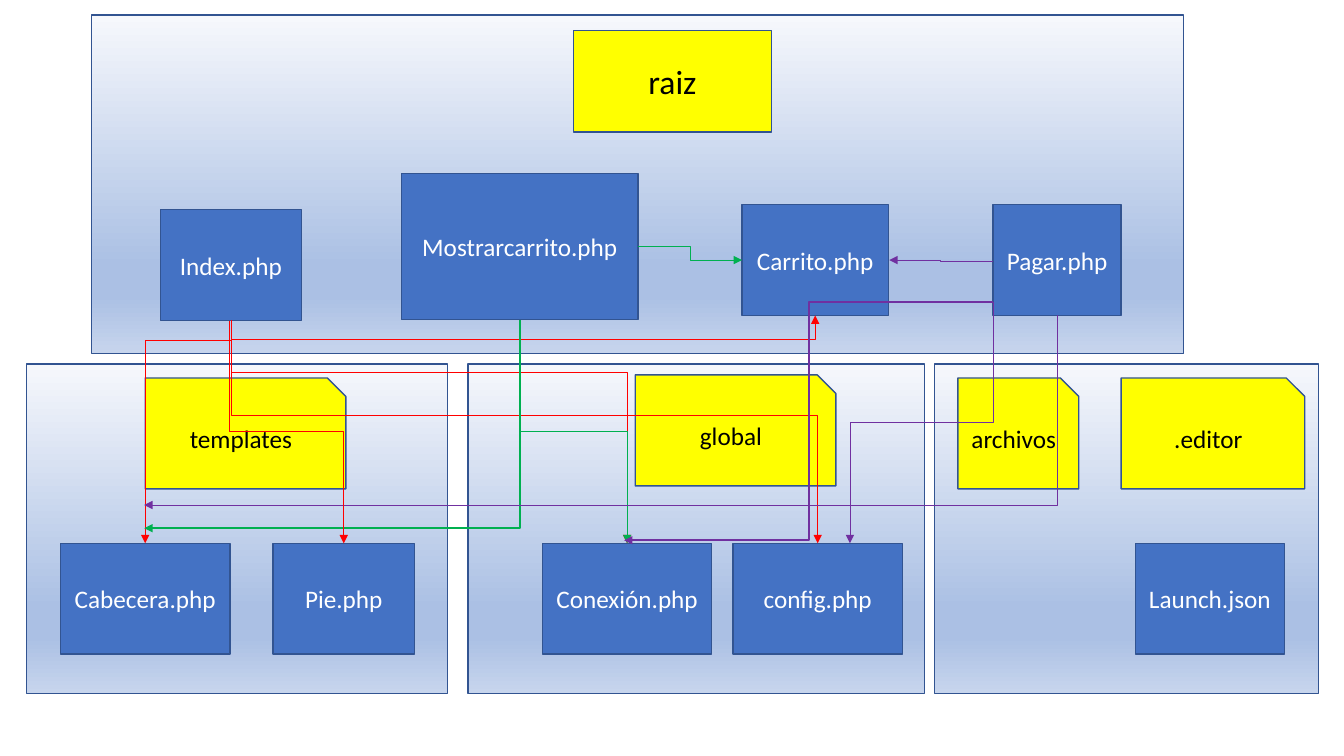
from lxml import etree
from pptx import Presentation
from pptx.dml.color import RGBColor
from pptx.enum.shapes import MSO_CONNECTOR, MSO_SHAPE
from pptx.enum.text import MSO_ANCHOR, PP_ALIGN
from pptx.oxml.ns import qn
from pptx.util import Inches, Pt

COLORS = {
    "border": "325491", "folder": "FFFF00", "file": "4472C4",
    "dark": "000000", "light": "FFFFFF",
    "index": "FF0000", "mostrar": "00B050", "pagar": "7030A0",
}
PANEL_STOPS = [(0, "F6F8FC"), (74, "ABC0E4"), (83, "ABC0E4"), (100, "C7D5ED")]
TOP, LEFT, BOTTOM, RIGHT = range(4)
ORIENTATION = {
    ("V", True, True): (270, "h"),
    ("V", False, True): (90, ""),
    ("V", True, False): (90, "hv"),
    ("H", True, True): (0, ""),
    ("H", False, False): (180, ""),
    ("H", False, True): (180, "v"),
}


def rgb(name):
    return RGBColor.from_string(COLORS[name])


def add_box(s, kind, x, y, w, h):
    sp = s.shapes.add_shape(kind, Inches(x), Inches(y), Inches(w), Inches(h))
    sp.shadow.inherit = False
    sp.line.color.rgb = rgb("border")
    sp.line.width = Pt(1)
    return sp


def add_panel(s, box):
    sp = add_box(s, MSO_SHAPE.RECTANGLE, *box)
    sp.fill.gradient()
    sp.fill.gradient_angle = 270
    stops = sp._element.spPr.find(qn("a:gradFill")).find(qn("a:gsLst"))
    for stop in list(stops):
        stops.remove(stop)
    for pos, color in PANEL_STOPS:
        stop = etree.SubElement(stops, qn("a:gs"), pos=str(pos * 1000))
        etree.SubElement(stop, qn("a:srgbClr"), val=color)


def add_label(s, kind, box, text, fill, color, size=18):
    sp = add_box(s, kind, *box)
    sp.fill.solid()
    sp.fill.fore_color.rgb = rgb(fill)
    tf = sp.text_frame
    tf.word_wrap = True
    tf.vertical_anchor = MSO_ANCHOR.MIDDLE
    p = tf.paragraphs[0]
    p.text = text
    p.alignment = PP_ALIGN.CENTER
    p.font.name = "Calibri"
    p.font.size = Pt(size)
    p.font.color.rgb = rgb(color)
    return sp


def add_region(s, box, folders, files, folder_kind=MSO_SHAPE.SNIP_1_RECTANGLE, size=18):
    left, top = box[:2]
    add_panel(s, box)
    for text, x, y, w, h in folders:
        add_label(s, folder_kind, (left + x, top + y, w, h), text, "folder", "dark", size)
    return {
        text: add_label(s, MSO_SHAPE.RECTANGLE, (left + x, top + y, w, h),
                        text, "file", "light")
        for text, x, y, w, h in files
    }


def locate(end, shapes):
    if not isinstance(end[0], str):
        return end
    sp, site = shapes[end[0]], end[1]
    x, y, w, h = (v.inches for v in (sp.left, sp.top, sp.width, sp.height))
    return [(x + w / 2, y), (x, y + h / 2), (x + w / 2, y + h), (x + w, y + h / 2)][site]


def add_link(s, shapes, color, start, end, axis, bend=None, width=0.5):
    (x1, y1), (x2, y2) = locate(start, shapes), locate(end, shapes)
    w, h = abs(x2 - x1), abs(y2 - y1)
    if axis == "V":
        w, h = h, w
    c = s.shapes.add_connector(MSO_CONNECTOR.ELBOW, 0, 0, 0, 0)
    if isinstance(start[0], str):
        c.begin_connect(shapes[start[0]], start[1])
    if isinstance(end[0], str):
        c.end_connect(shapes[end[0]], end[1])
    c.left, c.top = Inches((x1 + x2 - w) / 2), Inches((y1 + y2 - h) / 2)
    c.width, c.height = Inches(w), Inches(h)

    pr = c._element.spPr
    rot, flips = ORIENTATION[axis, x2 > x1, y2 > y1]
    xfrm = pr.find(qn("a:xfrm"))
    xfrm.set("rot", str(rot * 60000))
    xfrm.set("flipH", str(int("h" in flips)))
    xfrm.set("flipV", str(int("v" in flips)))
    geom = pr.find(qn("a:prstGeom"))
    if bend is None:
        geom.set("prst", "bentConnector2")
    else:
        a, b = (y1, y2) if axis == "V" else (x1, x2)
        ratio = round((bend - a) / (b - a) * 100000)
        etree.SubElement(geom.find(qn("a:avLst")), qn("a:gd"),
                         name="adj1", fmla=f"val {ratio}")

    c.line.color.rgb = rgb(color)
    c.line.width = Pt(width)
    etree.SubElement(pr.find(qn("a:ln")), qn("a:tailEnd"), type="triangle")
    etree.SubElement(pr, qn("a:effectLst"))


def add_links(s, shapes):
    index = ("Index.php", BOTTOM)
    mostrar = ("Mostrarcarrito.php", BOTTOM)
    cabecera = ("Cabecera.php", TOP)
    conexion = ("Conexión.php", TOP)
    pagar_corner = (9.85, 3)
    links = [
        ("index", index, cabecera, "V", 3.38),
        ("index", index, ("Carrito.php", BOTTOM), "V", 3.37),
        ("index", index, conexion, "V", 3.69),
        ("index", index, ("config.php", TOP), "V", 4.12),
        ("mostrar", mostrar, conexion, "V", 4.28),
        ("mostrar", ("Mostrarcarrito.php", RIGHT), ("Carrito.php", LEFT), "H", 6.85),
        ("mostrar", mostrar, (1.43, 5.24), "V", None, 1.5),
        ("pagar", (9.85, 2.59), (8.82, 2.58), "H", 9.33),
        ("pagar", pagar_corner, (6.19, 5.36), "H", 8.02, 1.5),
        ("pagar", pagar_corner, (8.43, 5.39), "V", 4.19),
        ("pagar", ("Pagar.php", BOTTOM), (1.43, 5.01), "V"),
        ("index", (2.28, 3.18), ("Pie.php", TOP), "V", 4.28),
    ]
    for link in links:
        add_link(s, shapes, *link)


prs = Presentation()
prs.slide_width, prs.slide_height = Inches(13.33), Inches(7.5)
s = prs.slides.add_slide(prs.slide_layouts[6])

shapes = add_region(
    s, (0.91, 0.15, 10.83, 3.36),
    [("raiz", 4.78, 0.15, 1.96, 1.01)],
    [("Index.php", 0.68, 1.93, 1.4, 1.1),
     ("Mostrarcarrito.php", 3.07, 1.57, 2.35, 1.45),
     ("Carrito.php", 6.45, 1.88, 1.45, 1.1),
     ("Pagar.php", 8.94, 1.88, 1.27, 1.1)],
    MSO_SHAPE.RECTANGLE, 24)
shapes |= add_region(
    s, (9.27, 3.61, 3.81, 3.27),
    [("archivos", 0.23, 0.14, 1.2, 1.1), (".editor", 1.85, 0.14, 1.82, 1.1)],
    [("Launch.json", 1.99, 1.78, 1.48, 1.1)])
shapes |= add_region(
    s, (4.64, 3.61, 4.53, 3.27),
    [("global", 1.66, 0.11, 1.99, 1.1)],
    [("Conexión.php", 0.74, 1.78, 1.68, 1.1), ("config.php", 2.63, 1.78, 1.68, 1.1)])
shapes |= add_region(
    s, (0.26, 3.61, 4.18, 3.27),
    [("templates", 1.18, 0.14, 1.99, 1.1)],
    [("Cabecera.php", 0.34, 1.78, 1.68, 1.1), ("Pie.php", 2.45, 1.78, 1.4, 1.1)])
add_links(s, shapes)

prs.save("out.pptx")
